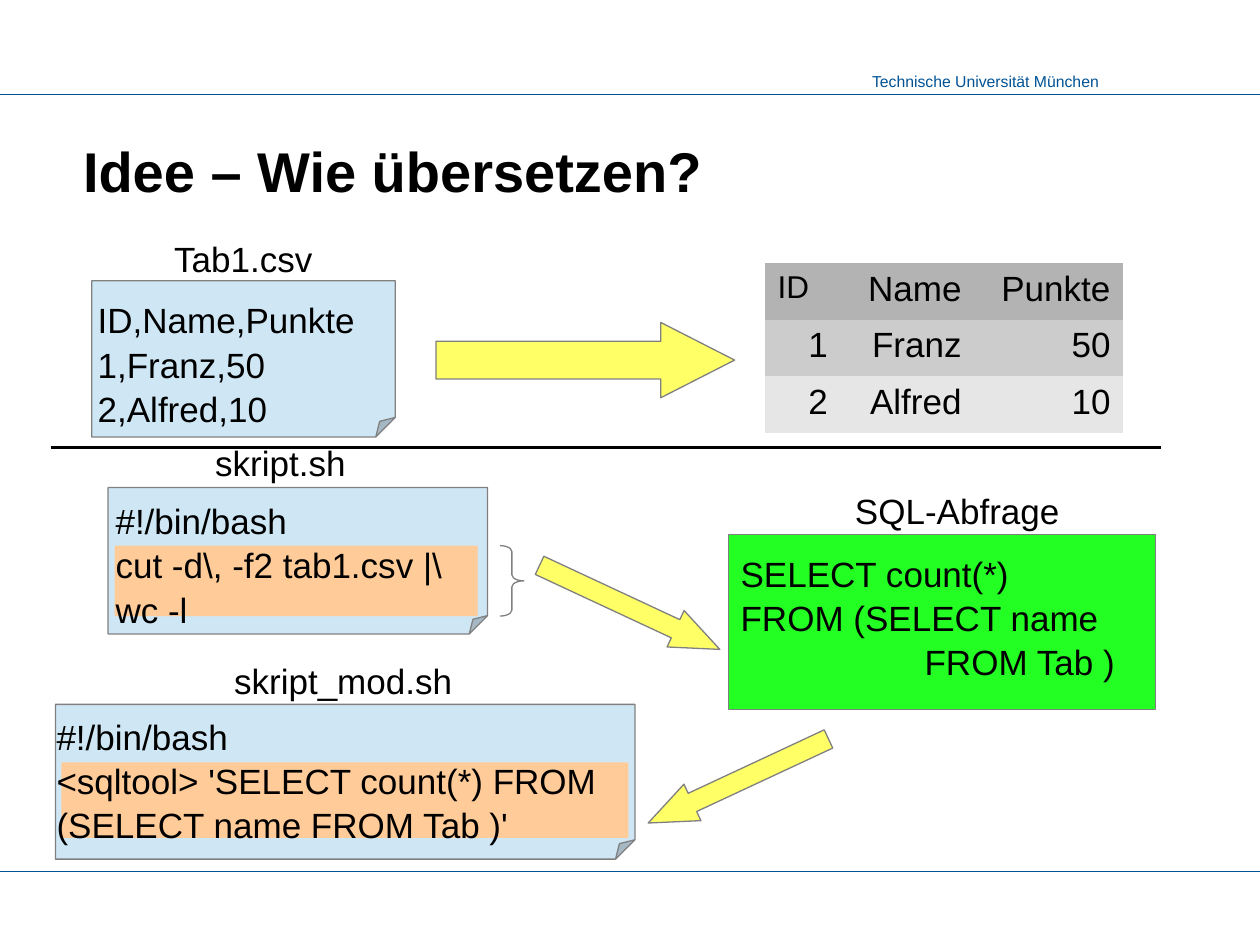
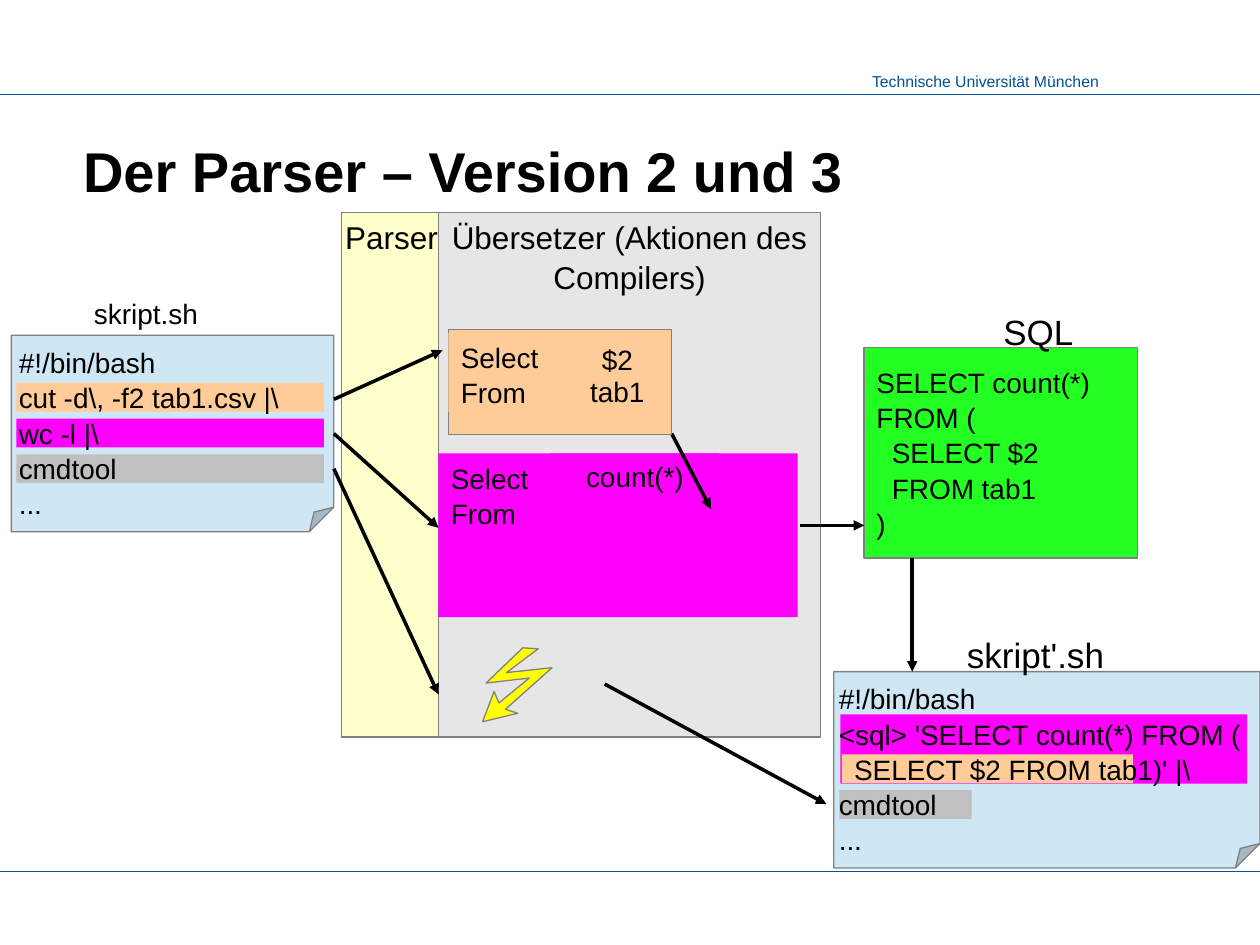
from lxml.etree import SubElement
from pptx import Presentation
from pptx.dml.color import RGBColor
from pptx.enum.shapes import MSO_CONNECTOR, MSO_SHAPE as Kind
from pptx.enum.text import MSO_ANCHOR as Anchor, PP_ALIGN as Align
from pptx.oxml.ns import qn
from pptx.util import Cm, Pt

FONT = "Arial"
BLACK = "000000"
BLUE = "005293"
GREY = "808080"
PAPER = "CFE7F5"
PEACH = "FFCC99"
PINK = "FF00FF"
SILVER = "C0C0C0"
GREEN = "23FF23"
YELLOW = "FFFF66"
PLAIN = "{2D5ABB26-0587-4C30-8999-92F81FD0307C}"


def color(code):
    return RGBColor.from_string(code)


def place(at):
    return [Cm(v) for v in at]


def style(para, size, code=BLACK, align=Align.LEFT, bold=False):
    para.alignment = align
    font = para.font
    font.name = FONT
    font.size = Pt(size)
    font.bold = bold
    font.color.rgb = color(code)


def write(frame, lines, size, align=Align.LEFT, code=BLACK, space=1.05):
    frame.word_wrap = True
    for i, line in enumerate(lines):
        indent, text = line if isinstance(line, tuple) else (0, line)
        para = frame.add_paragraph() if i else frame.paragraphs[0]
        para.text = text
        para.line_spacing = space
        style(para, size, code, align)
        if indent:
            para._p.get_or_add_pPr().set("marL", str(Cm(indent)))


def text(slide, at, lines, size, align=Align.LEFT, code=BLACK, space=1.05):
    box = slide.shapes.add_textbox(*place(at))
    write(box.text_frame, lines, size, align, code, space)


def label(slide, at, name, size=20):
    text(slide, at, [name], size, Align.RIGHT)


def paint(item, fill, edge):
    item.shadow.inherit = False
    if fill:
        item.fill.solid()
        item.fill.fore_color.rgb = color(fill)
    else:
        item.fill.background()
    if edge:
        item.line.color.rgb = color(edge)
        item.line.width = Pt(0)
    else:
        item.line.fill.background()


def shape(slide, kind, at, fill, edge=None, adjust=(), turn=0):
    item = slide.shapes.add_shape(kind, *place(at))
    paint(item, fill, edge)
    for i, value in enumerate(adjust):
        item.adjustments[i] = value
    item.rotation = turn
    return item


def block(slide, at, fill, lines, align=Align.LEFT, anchor=Anchor.TOP):
    item = shape(slide, Kind.RECTANGLE, at, fill)
    write(item.text_frame, lines, 16, align)
    item.text_frame.vertical_anchor = anchor
    return item


def chip(slide, at, fill, word):
    item = block(slide, at, fill, [word], Align.CENTER, Anchor.MIDDLE)
    item.text_frame.word_wrap = False


def fill_in(slide, at, lines, size, shift):
    left, top, width, height = at
    text(slide, (left + shift[0], top + shift[1], width + 0.4, height), lines, size)


def note(slide, at, marks, lines, size, shift):
    sheet = shape(slide, Kind.FOLDED_CORNER, at, PAPER, GREY)
    geom = sheet._element.spPr.find(qn("a:prstGeom"))
    guides = geom.find(qn("a:avLst"))
    if guides is None:
        guides = SubElement(geom, qn("a:avLst"))
    SubElement(guides, qn("a:gd"), name="adj", fmla="val 12500")
    for spot, tint in marks:
        shape(slide, Kind.RECTANGLE, spot, tint)
    fill_in(slide, at, lines, size, shift)


def query(slide, at, lines, size):
    shape(slide, Kind.RECTANGLE, at, GREEN, GREY)
    fill_in(slide, at, lines, size, (0, 0.2))


def rule(slide, ends, code=BLACK, width=0, head=False):
    line = slide.shapes.add_connector(MSO_CONNECTOR.STRAIGHT, *place(ends))
    line.line.color.rgb = color(code)
    line.line.width = Pt(width)
    if head:
        SubElement(line.line._get_or_add_ln(), qn("a:tailEnd"), type="triangle")
    SubElement(line._element.spPr, qn("a:effectLst"))


def grid(slide, at, cols, rows, fills):
    frame = slide.shapes.add_table(len(rows), len(cols), *place(at))
    table = frame.table
    table._tbl.tblPr.find(qn("a:tableStyleId")).text = PLAIN
    for col, width in zip(table.columns, cols):
        col.width = Cm(width)
    for r, (row, fill) in enumerate(zip(rows, fills)):
        table.rows[r].height = Cm(at[3] / len(rows))
        for c, word in enumerate(row):
            cell = table.cell(r, c)
            cell.fill.solid()
            cell.fill.fore_color.rgb = color(fill)
            cell.text = word
            first = r == c == 0
            style(cell.text_frame.paragraphs[0], 18 if first else 20,
                  align=Align.LEFT if first else Align.RIGHT)


def bolt(slide):
    points = [(1113, 1346), (1021, 1356), (1085, 1308), (1054, 1306),
              (980, 1377), (1067, 1367), (1006, 1417), (996, 1394),
              (973, 1455), (1044, 1438), (1019, 1430)]
    build = slide.shapes.build_freeform(*points[0], scale=Cm(0.01))
    build.add_line_segments(points[1:], close=True)
    paint(build.convert_to_shape(), "FFFF00", GREY)


def start(deck, name):
    slide = deck.slides.add_slide(deck.slide_layouts[5])
    text(slide, (17, 1.32, 5.4, 0.64), ["Technische Universität München"],
         9, Align.RIGHT, BLUE, 1)
    for y in (1.9, 17.57):
        rule(slide, (0, y, 25.4, y), BLUE, 0.75)
    title = slide.shapes.title
    title.left, title.top, title.width, title.height = place((1.42, 1.27, 22.58, 2.97))
    title.text_frame.text = name
    title.text_frame.vertical_anchor = Anchor.BOTTOM
    style(title.text_frame.paragraphs[0], 32, bold=True)
    return slide


def idea(deck):
    slide = start(deck, "Idee – Wie übersetzen?")
    note(slide, (1.85, 5.66, 6.12, 3.15), [],
         ["ID,Name,Punkte", "1,Franz,50", "2,Alfred,10"], 20, (-0.13, 0.2))
    label(slide, (3.02, 4.62, 3.53, 1.1), "Tab1.csv")
    shape(slide, Kind.RIGHT_ARROW, (8.79, 6.5, 6.02, 1.52), YELLOW, GREY, (0.5, 0.98))
    grid(slide, (15.42, 5.31, 7.22, 3.42), (1.52, 2.7, 3),
         [("ID", "Name", "Punkte"), ("1", "Franz", "50"), ("2", "Alfred", "10")],
         ("B3B3B3", "CCCCCC", "E6E6E6"))
    query(slide, (14.68, 10.77, 8.61, 3.53),
          ["SELECT count(*)", "FROM (SELECT name", (3.71, "FROM Tab )")], 20)
    label(slide, (16.56, 9.7, 5.05, 1.6), "SQL-Abfrage")
    note(slide, (2.18, 9.83, 7.65, 2.95), [((2.31, 11, 7.32, 1.42), PEACH)],
         ["#!/bin/bash", "cut -d\\, -f2 tab1.csv |\\ wc -l"], 20, (-0.1, 0.08))
    label(slide, (3.84, 8.74, 3.38, 1.1), "skript.sh")
    shape(slide, Kind.RIGHT_BRACE, (10.08, 11, 0.48, 1.42), None, GREY, (0.25, 0.5))
    rule(slide, (1.02, 9.02, 23.4, 9.02))
    shape(slide, Kind.RIGHT_ARROW, (10.69, 11.84, 4.01, 0.81), YELLOW, GREY,
          (0.5, 1.215), 25)
    note(slide, (1.12, 14.2, 11.68, 3.12), [((1.24, 15.37, 11.43, 1.52), PEACH)],
         ["#!/bin/bash", "<sqltool> 'SELECT count(*) FROM (SELECT name FROM Tab )'"],
         20, (-0.23, 0.05))
    label(slide, (3.48, 13.13, 5.89, 1.1), "skript_mod.sh")
    shape(slide, Kind.LEFT_ARROW, (12.88, 15.34, 4.01, 0.81), YELLOW, GREY,
          (0.5, 1.215), 335)


def parser(deck):
    slide = start(deck, "Der Parser – Version 2 und 3")
    shape(slide, Kind.RECTANGLE, (6.88, 4.29, 2.03, 10.57), "FFFFCC", GREY)
    shape(slide, Kind.RECTANGLE, (8.84, 4.29, 7.7, 10.57), "E6E6E6", GREY)
    marks = [((0.33, 7.72 + i * 0.72, 6.2, 0.58), tint)
             for i, tint in enumerate((PEACH, PINK, SILVER))]
    note(slide, (0.23, 6.76, 6.5, 3.96), marks,
         ["#!/bin/bash", "cut -d\\, -f2 tab1.csv |\\", "wc -l |\\", "cmdtool", "..."],
         16, (-0.1, 0.05))
    label(slide, (1.44, 5.82, 2.8, 0.94), "skript.sh", 16)
    block(slide, (8.84, 9.14, 7.24, 3.3), PINK, ["Select", "From"])
    query(slide, (17.42, 7.01, 5.51, 4.24),
          ["SELECT count(*)", "FROM (", (0.31, "SELECT $2"), (0.31, "FROM tab1"), ")"],
          16)
    label(slide, (18.64, 6.1, 3.25, 1.1), "SQL")
    note(slide, (16.81, 13.54, 8.59, 3.96),
         [((16.94, 14.4, 8.2, 1.4), PINK), ((16.97, 15.21, 5.87, 0.58), PEACH),
          ((16.92, 15.93, 2.67, 0.58), SILVER)],
         ["#!/bin/bash", "<sql> 'SELECT count(*) FROM (",
          (0.31, "SELECT $2 FROM tab1)' |\\"), "cmdtool", "..."], 16, (-0.15, 0.05))
    label(slide, (18.67, 12.6, 3.84, 1.1), "skript'.sh")
    chip(slide, (11.1, 9.14, 3.4, 0.89), PINK, "count(*)")
    bolt(slide)
    for ends in ((6.73, 8.05, 8.92, 7.06), (6.73, 8.74, 8.84, 10.64),
                 (6.73, 9.45, 8.84, 14), (16.13, 10.59, 17.42, 10.59),
                 (18.39, 11.25, 18.39, 13.54), (13.54, 8.74, 14.33, 10.26),
                 (12.19, 13.79, 16.66, 16.21)):
        rule(slide, ends, head=True)
    shape(slide, Kind.RECTANGLE, (9.04, 6.65, 4.5, 2.11), PEACH, GREY)
    block(slide, (9.04, 6.71, 4.45, 1.6), PEACH, ["Select", "From"])
    for i, word in enumerate(("$2", "tab1")):
        chip(slide, (11.43, 6.99 + i * 0.66, 2.03, 0.46), PEACH, word)
    text(slide, (6.6, 4.24, 2.59, 1.02), ["Parser"], 18, Align.CENTER)
    text(slide, (8.84, 4.24, 7.7, 1.78), ["Übersetzer (Aktionen des Compilers)"],
         18, Align.CENTER)


def main():
    deck = Presentation()
    deck.slide_width, deck.slide_height = Cm(25.4), Cm(19.05)
    idea(deck)
    parser(deck)
    deck.save("out.pptx")


if __name__ == "__main__":
    main()
